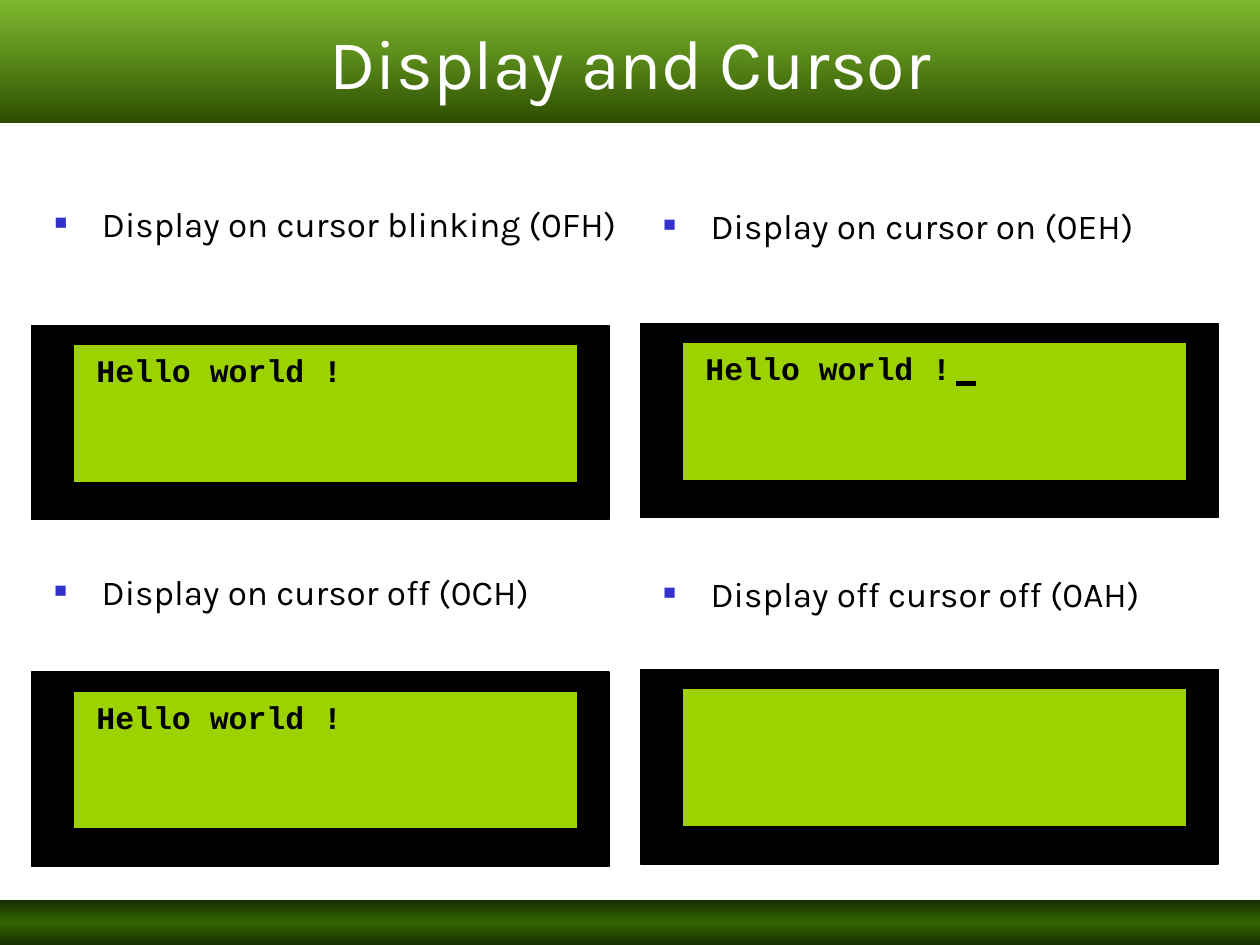
from lxml.etree import SubElement as Sub
from pptx import Presentation
from pptx.dml.color import RGBColor as RGB
from pptx.enum.shapes import MSO_CONNECTOR as LINK, MSO_SHAPE as SHAPE
from pptx.enum.text import MSO_ANCHOR as ANCHOR, MSO_AUTO_SIZE as FIT, PP_ALIGN as ALIGN
from pptx.oxml.ns import qn
from pptx.util import Pt

BLACK = RGB(0x00, 0x00, 0x00)
WHITE = RGB(0xFF, 0xFF, 0xFF)
LIME = RGB(0x9B, 0xD2, 0x00)
BLUE = RGB(0x33, 0x33, 0xCC)
GRASS = RGB(0x62, 0xA9, 0x03)
OLIVE = RGB(0x2D, 0x4E, 0x01)
PINE = RGB(0x18, 0x2F, 0x00)
GREEN = RGB(0x33, 0x66, 0x00)

HEAD = {"name": "Karla", "size": Pt(40), "bold": False}
ITEM = {"name": "Karla", "size": Pt(20), "bold": False}
CODE = {"name": "Courier New", "size": Pt(18), "bold": True}


def shade(shape, stops):
    """Fill from top to bottom with (percent, colour, opacity) stops."""
    shape.fill.gradient()
    shape.fill.gradient_angle = 270
    track = next(shape._element.iter(qn("a:gsLst")))
    for old in list(track):
        track.remove(old)
    for place, color, alpha in stops:
        stop = Sub(track, qn("a:gs"), pos=str(place * 1000))
        tint = Sub(stop, qn("a:srgbClr"), val=str(color))
        if alpha < 100:
            Sub(tint, qn("a:alpha"), val=str(alpha * 1000))


def write(shape, text, style, color, fit=FIT.NONE):
    """Put one styled paragraph in a shape and return it."""
    frame = shape.text_frame
    frame.word_wrap = True
    frame.auto_size = fit
    para = frame.paragraphs[0]
    para.space_before = Pt(0)
    run = para.add_run()
    run.text = text
    for key, value in style.items():
        setattr(run.font, key, value)
    run.font.color.rgb = color
    return para


deck = Presentation()
deck.slide_width, deck.slide_height = Pt(720), Pt(540)
slide = deck.slides.add_slide(deck.slide_layouts[1])
shapes = slide.shapes
title, body = slide.placeholders

# Title band and foot band
title.left, title.top, title.width, title.height = Pt(0), Pt(0), Pt(720), Pt(69.8)
shade(title, [(0, GRASS, 82), (100, OLIVE, 100)])
write(title, "Display and Cursor", HEAD, WHITE).alignment = ALIGN.CENTER
title.text_frame.vertical_anchor = ANCHOR.MIDDLE

foot = shapes.add_shape(SHAPE.RECTANGLE, Pt(0), Pt(514.5), Pt(720), Pt(25.5))
foot.shadow.inherit = False
foot.line.fill.background()
shade(foot, [(0, PINE, 100), (50, GREEN, 100), (100, PINE, 100)])

# Four modes in a grid: row, column, label, text on the screen
modes = [
    (0, 0, "Display on cursor blinking (0FH)", "Hello world !"),
    (0, 1, "Display on cursor on (0EH)", "Hello world !"),
    (1, 0, "Display on cursor off (0CH)", "Hello world !"),
    (1, 1, "Display off cursor off (0AH)", ""),
]
for row, col, label, text in modes:
    left, top = 24 + 348 * col, 118.8 + 210 * row + 1.2 * col
    if row == col == 0:
        box = body
        box.left, box.top, box.width, box.height = Pt(left), Pt(top), Pt(336), Pt(42)
    else:
        box = shapes.add_textbox(Pt(left), Pt(top), Pt(288), Pt(42))
    para = write(box, label, ITEM, BLACK)
    para.line_spacing = 0.7
    props = para._p.get_or_add_pPr()
    props.set("marL", str(Pt(27)))
    props.set("indent", str(-Pt(27)))
    Sub(Sub(props, qn("a:buClr")), qn("a:srgbClr"), val=str(BLUE))
    Sub(props, qn("a:buSzPct"), val="60000")
    Sub(props, qn("a:buFont"), typeface="Arial")
    Sub(props, qn("a:buChar"), char="■")

    left, top = 18 + 348 * col, 186 + 198 * row - 1.2 * col
    case = (left, top, 330, 111, BLACK)
    screen = (left + 24, top + 10.8, 288, 79, LIME)
    for x, y, wide, high, color in (case, screen):
        rect = shapes.add_shape(SHAPE.RECTANGLE, Pt(x), Pt(y), Pt(wide), Pt(high))
        rect.shadow.inherit = False
        rect.fill.solid()
        rect.fill.fore_color.rgb = color
        rect.line.color.rgb = BLACK
        rect.line.width = Pt(0.75)
    if text:
        box = shapes.add_textbox(Pt(left + 30), Pt(top + 11.2), Pt(168), Pt(28.8))
        write(box, text, CODE, BLACK, FIT.SHAPE_TO_FIT_TEXT)

# Underline cursor with its lime edges
x1, y1, x2, y2 = 546, 216, 558, 222
group = shapes.add_group_shape().shapes
cursor = group.add_shape(SHAPE.RECTANGLE, Pt(x1), Pt(y1), Pt(x2 - x1), Pt(y2 - y1))
cursor.shadow.inherit = False
cursor.fill.solid()
cursor.fill.fore_color.rgb = BLACK
cursor.line.fill.background()
edges = [
    (x1, y1, x2, y1, 3),
    (x1, y2, x2, y2, 3),
    (x1, y1, x1, y2, 0.75),
    (x2, y1, x2, y2, 0.75),
]
for *ends, width in edges:
    edge = group.add_connector(LINK.STRAIGHT, *map(Pt, ends))
    edge.line.color.rgb = LIME
    edge.line.width = Pt(width)
    Sub(edge._element.spPr, qn("a:effectLst"))

deck.save("out.pptx")
